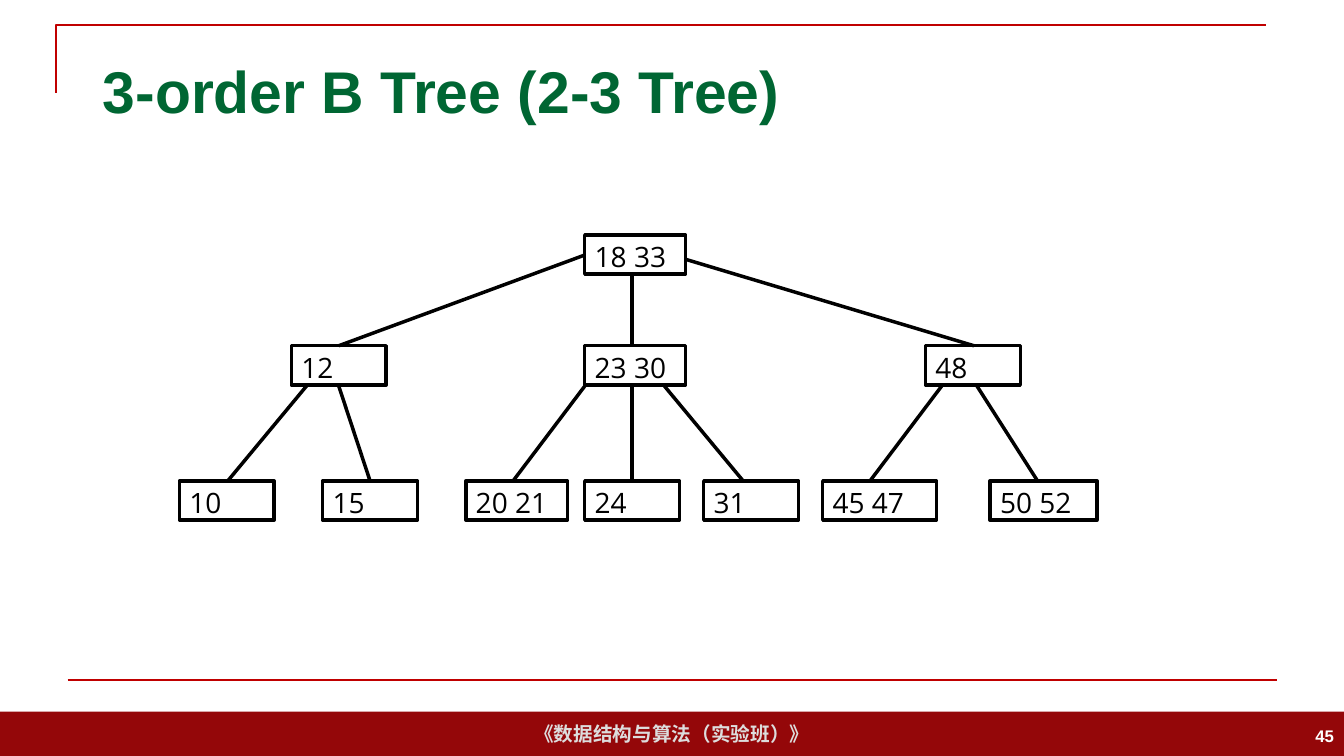
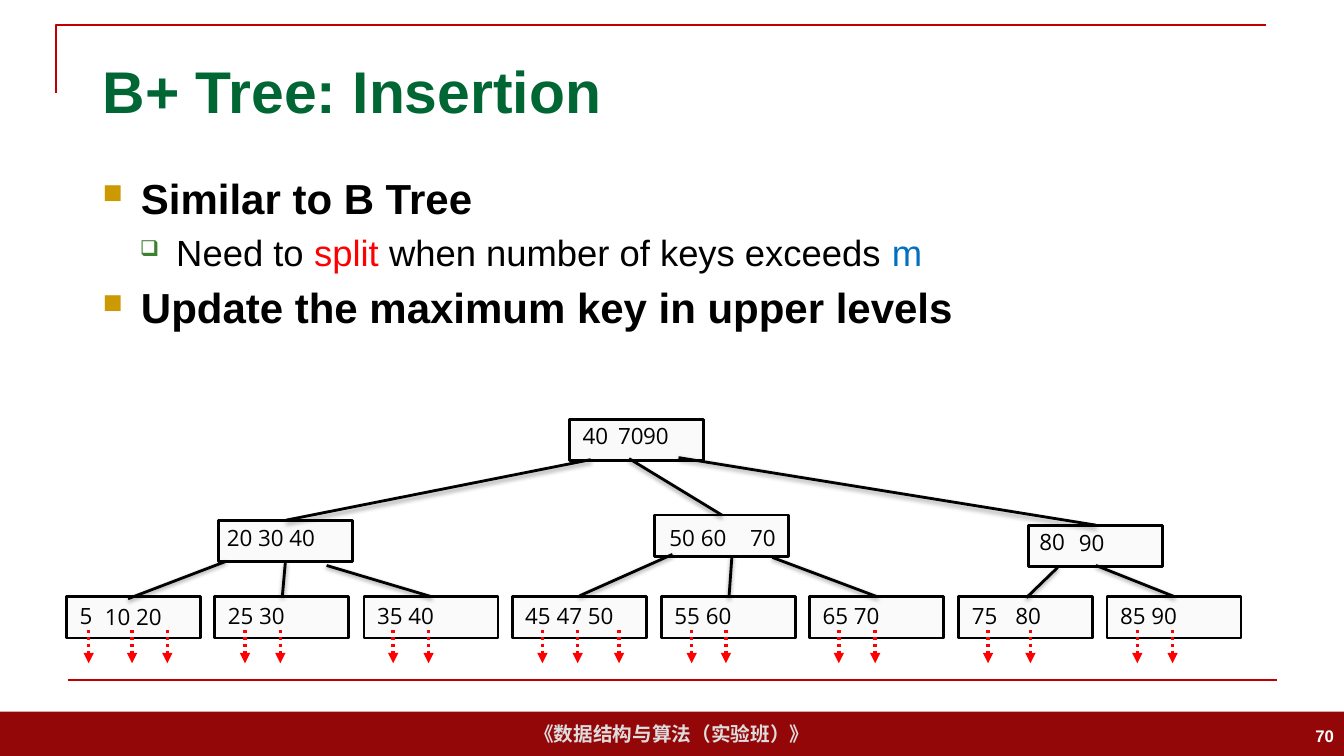
"""Build two slides on B and B+ trees."""
from dataclasses import dataclass

from lxml import etree
from pptx import Presentation
from pptx import util as u
from pptx.dml.color import RGBColor
from pptx.enum import dml, shapes, text
from pptx.oxml import ns

PX = 9144


@dataclass(frozen=True)
class Theme:
    """Colours, fonts and type sizes shared by the slides."""
    band: str = "940709"
    band_text: str = "DDDDDD"
    rule: str = "C00000"
    title: str = "006633"
    black: str = "000000"
    white: str = "FFFFFF"
    node: str = "F2F2F2"
    red: str = "FF0000"
    blue: str = "0070C0"
    gold: str = "CC9900"
    green: str = "3B812F"
    font: str = "Arial"
    key_font: str = "Open Sans"
    title_size: int = 42
    bullet_sizes: tuple = (30, 26)
    footer_size: int = 14
    number_size: int = 12
    key_size: int = 20
    small_key_size: int = 16


THEME = Theme()
COURSE = "《数据结构与算法（实验班）》"

B_NODES = [
    (580, 233, 100, "18 33"),
    (289, 343, 94, "12"), (580, 343, 100, "23 30"), (918, 343, 94, "48"),
    (178, 477, 94, "10"), (320, 477, 94, "15"), (462, 477, 101, "20 21"),
    (580, 477, 94, "24"), (698, 477, 94, "31"), (816, 477, 113, "45 47"),
    (982, 477, 106, "50 52"),
]
B_EDGES = [
    (580, 253, 336, 343), (627, 273, 627, 343), (679, 257, 966, 343),
    (304, 383, 226, 477), (336, 383, 367, 477),
    (580, 383, 509, 477), (627, 383, 627, 477), (659, 383, 737, 477),
    (934, 383, 863, 477), (969, 383, 1029, 477),
]

BULLETS = [
    (0, [("Similar to B Tree", THEME.black)]),
    (1, [("Need to ", THEME.black), ("split", THEME.red),
         (" when number of keys exceeds ", THEME.black), ("m", THEME.blue)]),
    (0, [("Update the maximum key in upper levels", THEME.black)]),
]
INNER_NODES = [
    (565, 416, "40", (13, 3)),
    (217, 516, "20 30 40", (8, 4)),
    (649, 511, "50 60", (15, 9)),
    (1020, 521, "80", (11, 3)),
]
LOOSE_KEYS = [
    (613, 419, "70"), (638, 419, "90"), (744, 520, "70"),
    (1070, 525, "90"), (104, 598, "10 20"), (1007, 597, "80"),
]
LEAVES = [
    ("5", (88, 131, 166)), ("25 30", (243, 278)), ("35 40", (390, 425)),
    ("45 47 50", (538, 573, 614)), ("55 60", (686, 720)),
    ("65 70", (832, 868)), ("75", (980, 1022)), ("85 90", (1128, 1163)),
]
PLUS_EDGES = [
    (586, 456, 284, 516), (624, 455, 716, 511), (673, 454, 1087, 521),
    (224, 557, 127, 594), (283, 558, 280, 592), (324, 561, 428, 592),
    (667, 550, 575, 591), (726, 551, 723, 593), (766, 553, 870, 592),
    (1049, 563, 1018, 593), (1087, 561, 1165, 592),
]


def px(*lengths):
    """Turn px lengths into EMU."""
    return [u.Emu(length * PX) for length in lengths]


def add_xml(parent, tag, **attributes):
    """Append a DrawingML element and return it."""
    values = {name: str(value) for name, value in attributes.items()}
    return etree.SubElement(parent, ns.qn(tag), values)


def style_run(run, size, color, font=THEME.font, bold=False):
    """Set the font of one run."""
    run.font.name = font
    run.font.size = u.Pt(size)
    run.font.bold = bold
    run.font.color.rgb = RGBColor.from_string(color)


def write(shape, words, size, color, font=THEME.font, bold=False,
          align=text.PP_ALIGN.LEFT, anchor=text.MSO_ANCHOR.TOP,
          inset=(10, 5), wrap=True):
    """Put one styled line of text into a shape."""
    frame = shape.text_frame
    frame.text = words
    frame.word_wrap = wrap
    frame.auto_size = text.MSO_AUTO_SIZE.NONE
    frame.vertical_anchor = anchor
    left, top = px(*inset)
    frame.margin_left = frame.margin_right = left
    frame.margin_top = frame.margin_bottom = top
    frame.paragraphs[0].alignment = align
    style_run(frame.paragraphs[0].runs[0], size, color, font, bold)


def add_box(slide, box, fill, line=None, weight=0):
    """Add a filled rectangle, outlined when a line colour is given."""
    shape = slide.shapes.add_shape(shapes.MSO_SHAPE.RECTANGLE, *px(*box))
    shape.shadow.inherit = False
    shape.fill.solid()
    shape.fill.fore_color.rgb = RGBColor.from_string(fill)
    if line:
        shape.line.color.rgb = RGBColor.from_string(line)
        shape.line.width = u.Pt(weight)
    else:
        shape.line.fill.background()
    return shape


def add_line(slide, ends, color, weight, shadow=False, arrow=False):
    """Add a straight line, optionally shadowed or as a dotted arrow."""
    line = slide.shapes.add_connector(shapes.MSO_CONNECTOR.STRAIGHT, *px(*ends))
    line.line.color.rgb = RGBColor.from_string(color)
    line.line.width = u.Pt(weight)
    if arrow:
        line.line.dash_style = dml.MSO_LINE.ROUND_DOT
        add_xml(line.line._get_or_add_ln(), "a:tailEnd", type="triangle")
    effects = add_xml(line.element.spPr, "a:effectLst")
    if shadow:
        outer = add_xml(effects, "a:outerShdw", blurRad=40000, dist=20000,
                        dir=5400000, rotWithShape=0)
        color_node = add_xml(outer, "a:srgbClr", val=THEME.black)
        add_xml(color_node, "a:alpha", val=38000)
    return line


def add_frame(slide):
    """Draw the shared band and rules and move them to the layout."""
    band = add_box(slide, (0, 706, 1333, 44), THEME.band)
    write(band, COURSE, THEME.footer_size, THEME.band_text, bold=True,
          align=text.PP_ALIGN.CENTER, anchor=text.MSO_ANCHOR.MIDDLE, wrap=False)
    builder = slide.shapes.build_freeform(56, 92, scale=PX)
    builder.add_line_segments([(56, 25), (1256, 25)], close=False)
    corner = builder.convert_to_shape()
    corner.shadow.inherit = False
    corner.fill.background()
    corner.line.color.rgb = RGBColor.from_string(THEME.rule)
    corner.line.width = u.Pt(1.5)
    rule = add_line(slide, (67, 675, 1267, 675), THEME.rule, 1.5)
    for shape in (band, corner, rule):
        slide.slide_layout.shapes.element.append(shape.element)


def add_heading(slide, title, number):
    """Fill the title placeholder and add the slide number."""
    heading = slide.shapes.title
    heading.left, heading.top, heading.width, heading.height = px(92, 40, 1150, 99)
    write(heading, title, THEME.title_size, THEME.title, bold=True,
          anchor=text.MSO_ANCHOR.MIDDLE)
    label = slide.shapes.add_textbox(*px(1033, 710, 300, 40))
    write(label, number, THEME.number_size, THEME.white, bold=True,
          align=text.PP_ALIGN.RIGHT, anchor=text.MSO_ANCHOR.MIDDLE)


def add_bullets(slide, box, items):
    """Add a two-level bulleted list with coloured runs."""
    styles = [(38, -38, THEME.gold, 65000, "■"), (73, -36, THEME.green, 60000, "❑")]
    frame = slide.shapes.add_textbox(*px(*box)).text_frame
    frame.word_wrap = True
    for index, (level, runs) in enumerate(items):
        paragraph = frame.add_paragraph() if index else frame.paragraphs[0]
        margin, indent, color, percent, mark = styles[level]
        size = THEME.bullet_sizes[level]
        paragraph.level = level
        properties = paragraph._p.get_or_add_pPr()
        properties.set("marL", str(margin * PX))
        properties.set("indent", str(indent * PX))
        add_xml(add_xml(properties, "a:buClr"), "a:srgbClr", val=color)
        add_xml(properties, "a:buSzPct", val=percent)
        add_xml(properties, "a:buChar", char=mark)
        if index:
            paragraph.space_before = u.Pt(size * 0.2)
        for words, run_color in runs:
            run = paragraph.add_run()
            run.text = words
            style_run(run, size, run_color, bold=level == 0)


def add_plus_node(slide, left, top, keys, inset):
    """Add a translucent B+ tree node with its keys."""
    node = add_box(slide, (left, top, 133, 41), THEME.node, THEME.black, 2)
    fill_color = node.element.spPr.find(ns.qn("a:solidFill"))[0]
    add_xml(fill_color, "a:alpha", val=32000)
    write(node, keys, THEME.small_key_size, THEME.black, THEME.key_font,
          inset=inset)


def add_key(slide, left, top, key):
    """Add a key that stands apart from the others in its node."""
    label = slide.shapes.add_textbox(*px(left, top, 60, 32))
    write(label, key, THEME.small_key_size, THEME.black, THEME.key_font,
          inset=(0, 0))


def build_b_tree(slide):
    """Draw the 3-order B tree."""
    add_heading(slide, "3-order B Tree (2-3 Tree)", "45")
    for left, top, width, keys in B_NODES:
        node = add_box(slide, (left, top, width, 39), THEME.white, THEME.black, 2.5)
        write(node, keys, THEME.key_size, THEME.black, THEME.key_font)
    for ends in B_EDGES:
        add_line(slide, ends, THEME.black, 2.5)


def build_plus_tree(slide):
    """Draw the insertion rules and the B+ tree."""
    add_heading(slide, "B+ Tree: Insertion", "70")
    add_bullets(slide, (92, 166, 1150, 180), BULLETS)
    for node in INNER_NODES:
        add_plus_node(slide, *node)
    for index, (keys, arrows) in enumerate(LEAVES):
        add_plus_node(slide, 66 + 295 * index // 2, 592, keys, (13, 5))
        for x in arrows:
            add_line(slide, (x, 625, x, 658), THEME.red, 2.5, arrow=True)
    for key in LOOSE_KEYS:
        add_key(slide, *key)
    for ends in PLUS_EDGES:
        add_line(slide, ends, THEME.black, 2, shadow=True)


def main():
    """Build and save the presentation."""
    presentation = Presentation()
    presentation.slide_width, presentation.slide_height = px(1333, 750)
    layout = presentation.slide_layouts[5]
    tree_slide, insertion_slide = [presentation.slides.add_slide(layout)
                                   for _ in range(2)]
    add_frame(tree_slide)
    build_b_tree(tree_slide)
    build_plus_tree(insertion_slide)
    presentation.save("out.pptx")


if __name__ == "__main__":
    main()
